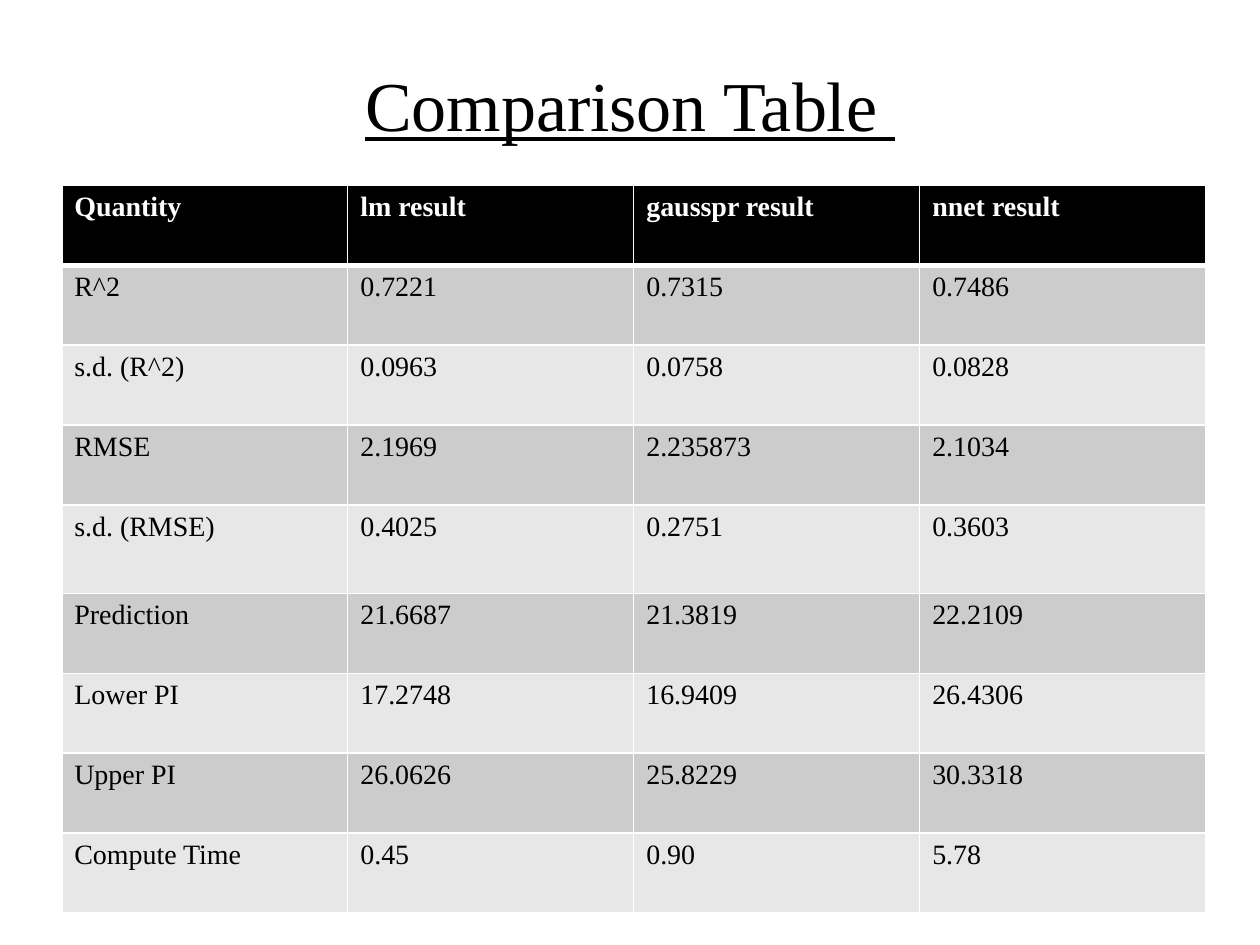
from lxml import etree
from pptx import Presentation
from pptx.dml.color import RGBColor
from pptx.enum.text import MSO_ANCHOR, PP_ALIGN
from pptx.oxml.ns import qn
from pptx.util import Inches, Pt

MIDDLE = MSO_ANCHOR.MIDDLE
CENTER = PP_ALIGN.CENTER
FONT = "Times New Roman"
COLORS = {
    "text": "000000",
    "header": "000000",
    "header_text": "FFFFFF",
    "odd_row": "CCCCCC",
    "even_row": "E7E7E7",
    "border": "FFFFFF",
}
ROWS = [
    ["Quantity", "lm result", "gausspr result", "nnet result"],
    ["R^2", "0.7221", "0.7315", "0.7486"],
    ["s.d. (R^2)", "0.0963", "0.0758", "0.0828"],
    ["RMSE", "2.1969", "2.235873", "2.1034"],
    ["s.d. (RMSE)", "0.4025", "0.2751", "0.3603"],
    ["Prediction", "21.6687", "21.3819", "22.2109"],
    ["Lower PI", "17.2748", "16.9409", "26.4306"],
    ["Upper PI", "26.0626", "25.8229", "30.3318"],
    ["Compute Time", "0.45", "0.90", "5.78"],
]
COLUMN_WIDTH = 2.27
ROW_HEIGHT = 0.635
TALL_ROW, TALL_HEIGHT = 4, 0.7


def add_span(para, text, size, color):
    span = para.add_run()
    span.text = text
    span.font.name = FONT
    span.font.size = Pt(size)
    span.font.color.rgb = RGBColor.from_string(COLORS[color])
    return span


def set_borders(cell, widths):
    """Draw cell borders; widths maps a side (L, R, T, B) to points."""
    properties = cell._tc.get_or_add_tcPr()
    for position, (side, width) in enumerate(widths.items()):
        line = etree.Element(qn(f"a:ln{side}"), w=str(Pt(width)))
        fill = etree.SubElement(line, qn("a:solidFill"))
        etree.SubElement(fill, qn("a:srgbClr"), val=COLORS["border"])
        properties.insert(position, line)


deck = Presentation()
deck.slide_width, deck.slide_height = Inches(10), Inches(7.5)
page = deck.slides.add_slide(deck.slide_layouts[6])

# Title
box = page.shapes.add_textbox(Inches(0.69), Inches(0.4), Inches(8.62), Inches(0.92))
frame = box.text_frame
frame.word_wrap = True
frame.vertical_anchor = MIDDLE
para = frame.paragraphs[0]
para.alignment = CENTER
para.line_spacing = 0.9
add_span(para, "Comparison Table ", 40, "text").font.underline = True

# Comparison table
column_count = len(ROWS[0])
table_height = ROW_HEIGHT * (len(ROWS) - 1) + TALL_HEIGHT
table = page.shapes.add_table(
    len(ROWS), column_count, Inches(0.49), Inches(1.47),
    Inches(COLUMN_WIDTH * column_count), Inches(table_height),
).table
for column in table.columns:
    column.width = Inches(COLUMN_WIDTH)

for row_index, values in enumerate(ROWS):
    is_header = row_index == 0
    height = TALL_HEIGHT if row_index == TALL_ROW else ROW_HEIGHT
    table.rows[row_index].height = Inches(height)
    if is_header:
        fill_color = "header"
    else:
        fill_color = "odd_row" if row_index % 2 else "even_row"
    for column_index, value in enumerate(values):
        cell = table.cell(row_index, column_index)
        cell.fill.solid()
        cell.fill.fore_color.rgb = RGBColor.from_string(COLORS[fill_color])
        span = add_span(cell.text_frame.paragraphs[0], value, 16,
                        "header_text" if is_header else "text")
        span.font.bold = is_header
        set_borders(cell, {"L": 1, "R": 1, "T": 3 if row_index == 1 else 1,
                           "B": 3 if is_header else 1})

deck.save("out.pptx")
